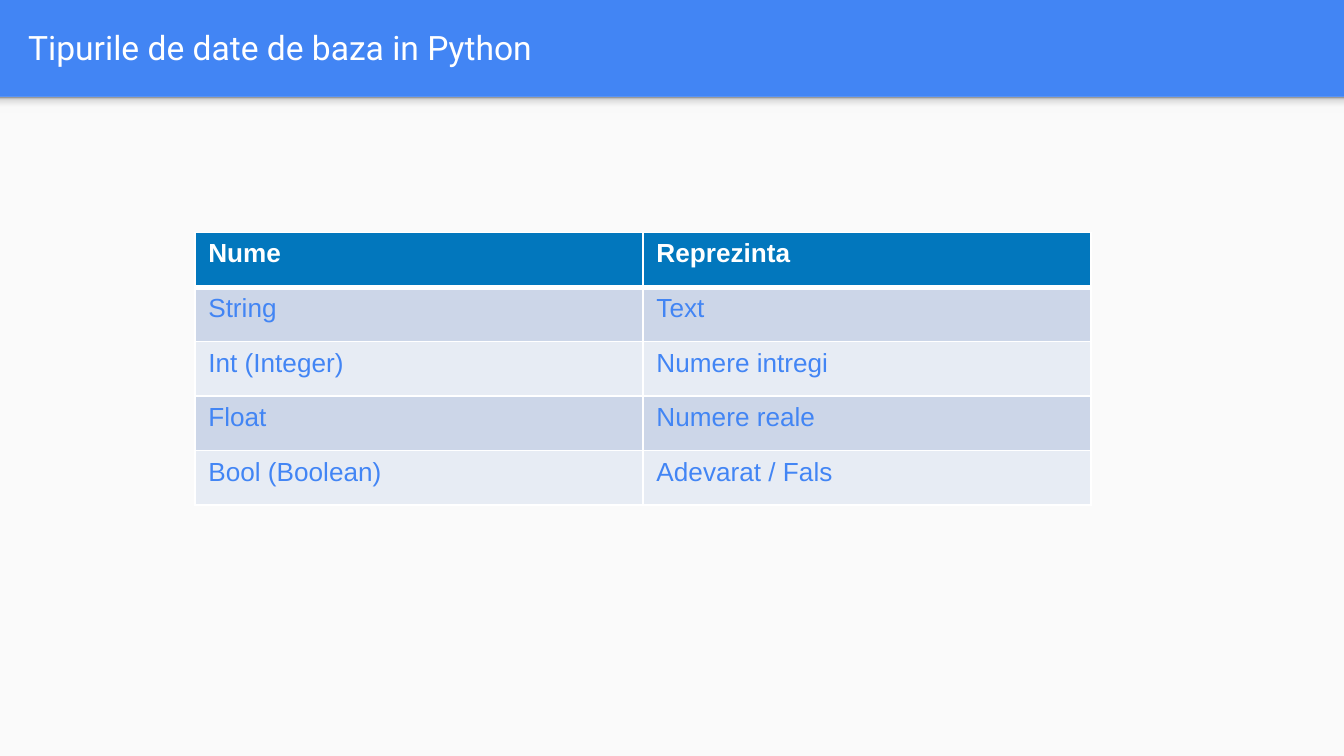
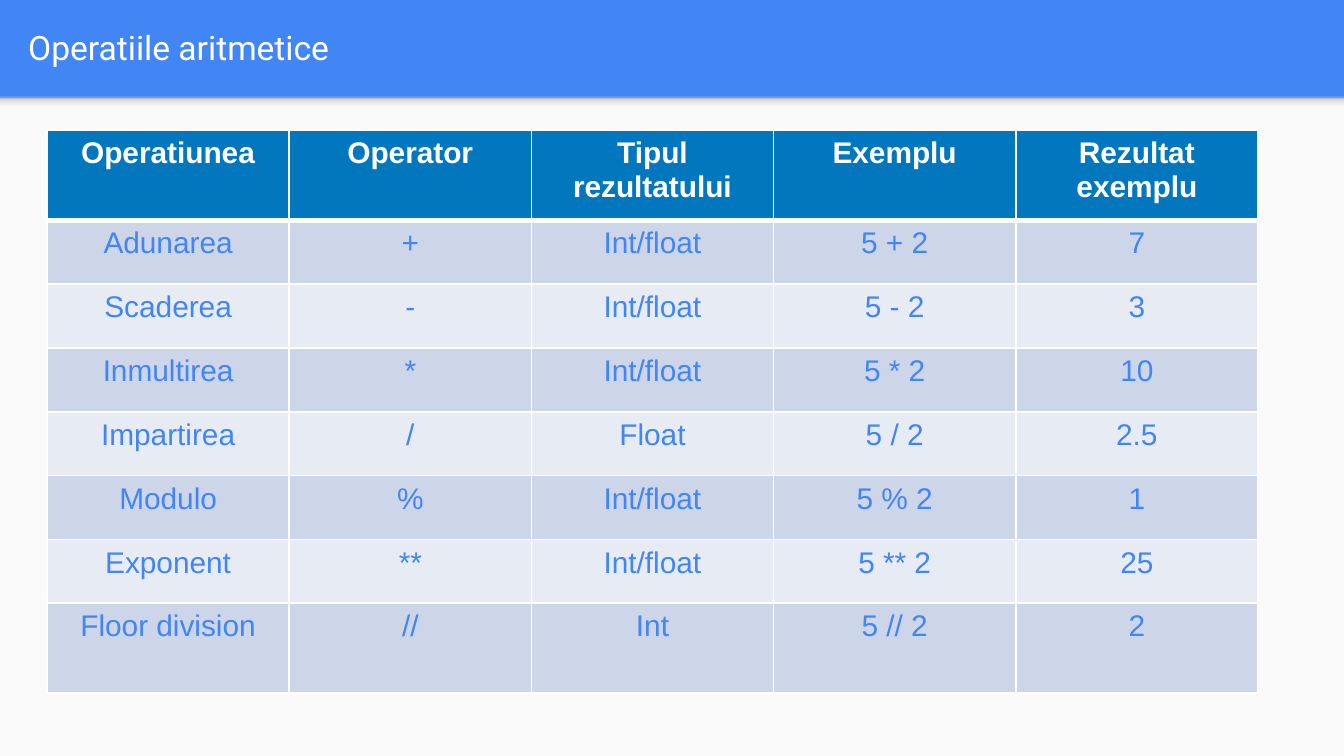
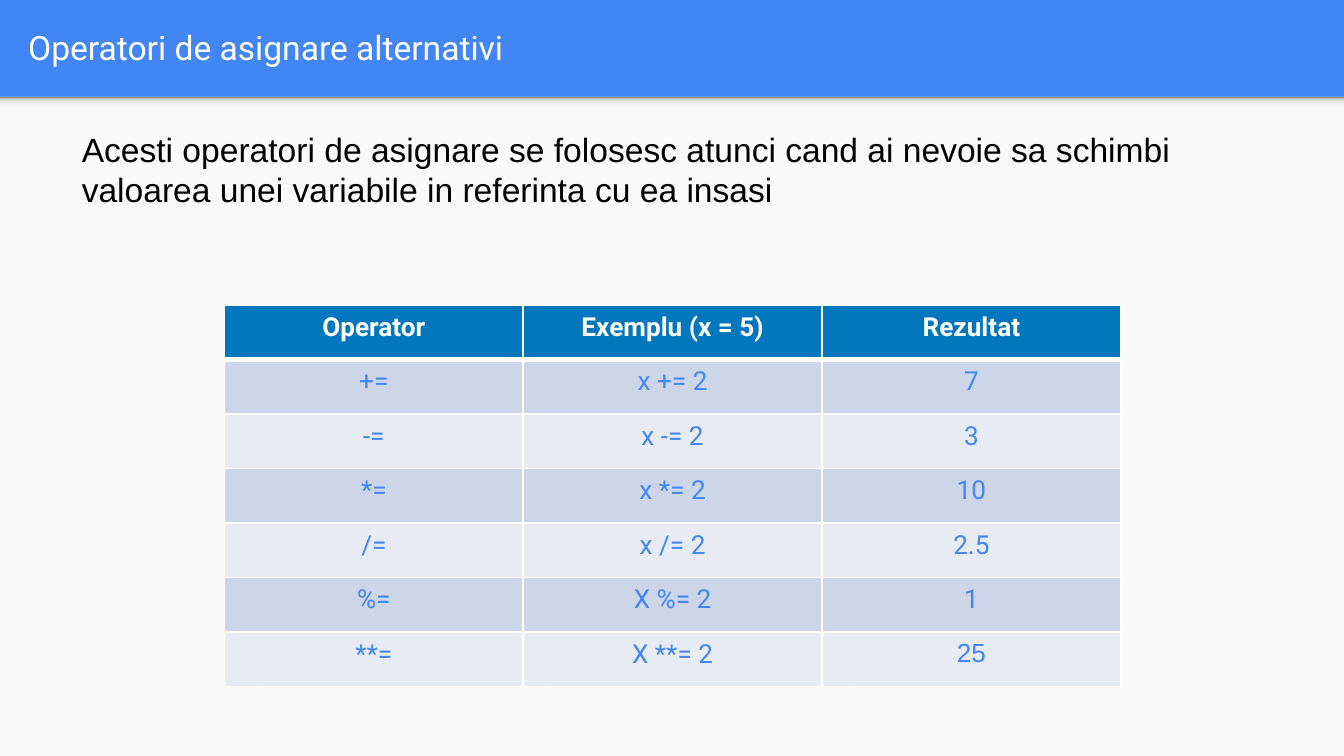
from lxml.etree import SubElement
from pptx import Presentation
from pptx.dml.color import RGBColor
from pptx.enum.shapes import MSO_SHAPE as Shape, PP_PLACEHOLDER as Holder
from pptx.enum.text import MSO_ANCHOR as Anchor, MSO_AUTO_SIZE as AutoSize, PP_ALIGN as Align
from pptx.oxml.ns import qn
from pptx.util import Inches, Pt

# Shared look
COLORS = {
    "blue": "4285F4", "sheet": "FAFAFA", "header": "0277BD",
    "odd": "CCD6E8", "even": "E7ECF4", "white": "FFFFFF", "black": "000000",
}
SHADOW_STOPS = [(0, "F9F9F9"), (36, "F9F9F9"), (80, "DEDEDE"), (100, "999999")]
WIDTH, BAND = 10, 0.72
HEIGHT = WIDTH * 9 / 16
TITLE_BOX = (0.11, 0.02, 9.65, 0.66)
TITLE_FRAME = {
    "word_wrap": True, "auto_size": AutoSize.NONE, "vertical_anchor": Anchor.MIDDLE,
    "margin_left": Inches(0.1), "margin_right": Inches(0.1),
    "margin_top": Inches(0.1), "margin_bottom": Inches(0.1),
}
NOTE_FRAME = {"word_wrap": True, "auto_size": AutoSize.SHAPE_TO_FIT_TEXT}
TABLE_FLAGS = {"first_row": True, "horz_banding": False}

# Content: tall rows are listed by index, every other row shares what is left
SLIDES = [
    {
        "title": "Tipurile de date de baza in Python",
        "box": (1.45, 1.73, 6.67, 2.03),
        "font": "Arial", "size": 14, "align": Align.LEFT,
        "rows": [
            ("Nume", "Reprezinta"),
            ("String", "Text"),
            ("Int (Integer)", "Numere intregi"),
            ("Float", "Numere reale"),
            ("Bool (Boolean)", "Adevarat / Fals"),
        ],
    },
    {
        "title": "Operatiile aritmetice",
        "box": (0.35, 0.97, 9.01, 4.19),
        "font": "Arial", "size": 16, "align": Align.CENTER,
        "tall": {0: 0.67, 7: 0.67},
        "rows": [
            ("Operatiunea", "Operator", "Tipul rezultatului", "Exemplu", "Rezultat exemplu"),
            ("Adunarea", "+", "Int/float", "5 + 2", "7"),
            ("Scaderea", "-", "Int/float", "5 - 2", "3"),
            ("Inmultirea", "*", "Int/float", "5 * 2", "10"),
            ("Impartirea", "/", "Float", "5 / 2", "2.5"),
            ("Modulo", "%", "Int/float", "5 % 2", "1"),
            ("Exponent", "**", "Int/float", "5 ** 2", "25"),
            ("Floor division", "//", "Int", "5 // 2", "2"),
        ],
    },
    {
        "title": "Operatori de asignare alternativi",
        "box": (1.67, 2.27, 6.67, 2.84),
        "font": "Roboto", "size": 14, "align": Align.CENTER,
        "cell_fonts": {(6, 2): "Arial"},
        "rows": [
            ("Operator", "Exemplu (x = 5)", "Rezultat"),
            ("+=", "x += 2", "7"),
            ("-=", "x -= 2", "3"),
            ("*=", "x *= 2", "10"),
            ("/=", "x /= 2", "2.5"),
            ("%=", "X %= 2", "1"),
            ("**=", "X **= 2", "25"),
        ],
        "note": "Acesti operatori de asignare se folosesc atunci cand ai nevoie sa schimbi "
                "valoarea unei variabile in referinta cu ea insasi",
        "note_box": (0.51, 0.91, 8.85, 0.71),
    },
]


def rgb(name):
    return RGBColor.from_string(COLORS[name])


def inches(box):
    return [Inches(length) for length in box]


def apply(target, values):
    for name, value in values.items():
        setattr(target, name, value)


def write(frame, text, font, size, color, bold=False, align=Align.LEFT):
    paragraph = frame.paragraphs[0]
    paragraph.alignment = align
    run = paragraph.add_run()
    run.text = text
    apply(run.font, {"name": font, "size": Pt(size), "bold": bold})
    run.font.color.rgb = rgb(color)


def add_backdrop(layout, slide):
    """Draw the sheet and the band's shadow, then hand them to the layout."""
    boxes = [(0, BAND, WIDTH, HEIGHT - BAND), (0, BAND, WIDTH, 0.12)]
    sheet, shadow = [slide.shapes.add_shape(Shape.RECTANGLE, *inches(box)) for box in boxes]
    sheet.fill.solid()
    sheet.fill.fore_color.rgb = rgb("sheet")
    shadow.fill.gradient()
    shadow.fill.gradient_angle = 90
    stops = shadow.element.spPr.find(qn("a:gradFill")).find(qn("a:gsLst"))
    for stop in list(stops):
        stops.remove(stop)
    for position, color in SHADOW_STOPS:
        stop = SubElement(stops, qn("a:gs"), pos=str(position * 1000))
        SubElement(stop, qn("a:srgbClr"), val=color)
    for index, part in enumerate((sheet, shadow)):
        part.shadow.inherit = False
        part.line.fill.background()
        layout.shapes.element.insert(2 + index, part.element)


def add_borders(cell, widths):
    properties = cell._tc.get_or_add_tcPr()
    for index, (side, width) in enumerate(widths.items()):
        line = SubElement(properties, qn("a:ln" + side), w=str(Pt(width)))
        fill = SubElement(line, qn("a:solidFill"))
        SubElement(fill, qn("a:srgbClr"), val=COLORS["white"])
        properties.insert(index, line)


def add_grid(slide, content):
    rows, tall = content["rows"], content.get("tall", {})
    left, top, width, height = content["box"]
    columns = len(rows[0])
    table = slide.shapes.add_table(len(rows), columns, *inches(content["box"])).table
    apply(table, TABLE_FLAGS)
    for column in table.columns:
        column.width = Inches(width / columns)
    shared = (height - sum(tall.values())) / (len(rows) - len(tall))
    for r, texts in enumerate(rows):
        table.rows[r].height = Inches(tall.get(r, shared))
        fill = "header" if r == 0 else ("even", "odd")[r % 2]
        widths = {"L": 1, "R": 1, "T": 3 if r == 1 else 1, "B": 3 if r == 0 else 1}
        for c, text in enumerate(texts):
            cell = table.cell(r, c)
            font = content.get("cell_fonts", {}).get((r, c), content["font"])
            write(cell.text_frame, text, font, content["size"],
                  "white" if r == 0 else "blue", r == 0, content["align"])
            cell.fill.solid()
            cell.fill.fore_color.rgb = rgb(fill)
            add_borders(cell, widths)


deck = Presentation()
apply(deck, {"slide_width": Inches(WIDTH), "slide_height": Inches(HEIGHT)})
title_only = deck.slide_layouts[5]

# Shared background; the layout keeps only its title placeholder
background = deck.slide_master.background.fill
background.solid()
background.fore_color.rgb = rgb("blue")
for holder in list(title_only.placeholders):
    if holder.placeholder_format.type != Holder.TITLE:
        holder.element.getparent().remove(holder.element)

for number, content in enumerate(SLIDES):
    slide = deck.slides.add_slide(title_only)
    if number == 0:
        add_backdrop(title_only, slide)

    # Title in the band
    title = slide.shapes.title
    apply(title, dict(zip(("left", "top", "width", "height"), inches(TITLE_BOX))))
    apply(title.text_frame, TITLE_FRAME)
    write(title.text_frame, content["title"], "Roboto", 18, "white")

    # Table, and the explanation above it
    add_grid(slide, content)
    if "note" in content:
        note = slide.shapes.add_textbox(*inches(content["note_box"])).text_frame
        apply(note, NOTE_FRAME)
        write(note, content["note"], "Arial", 18, "black")

deck.save("out.pptx")
